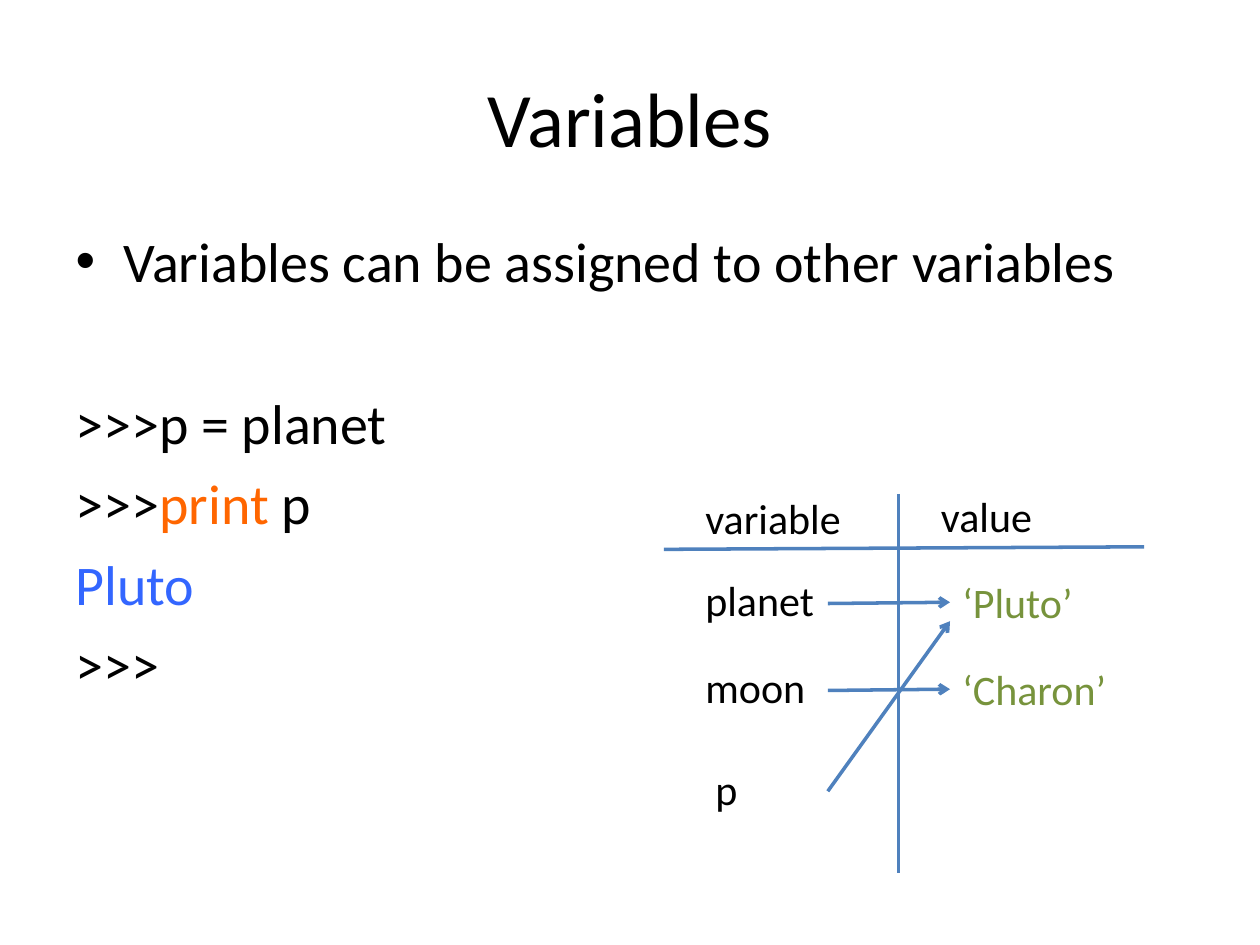
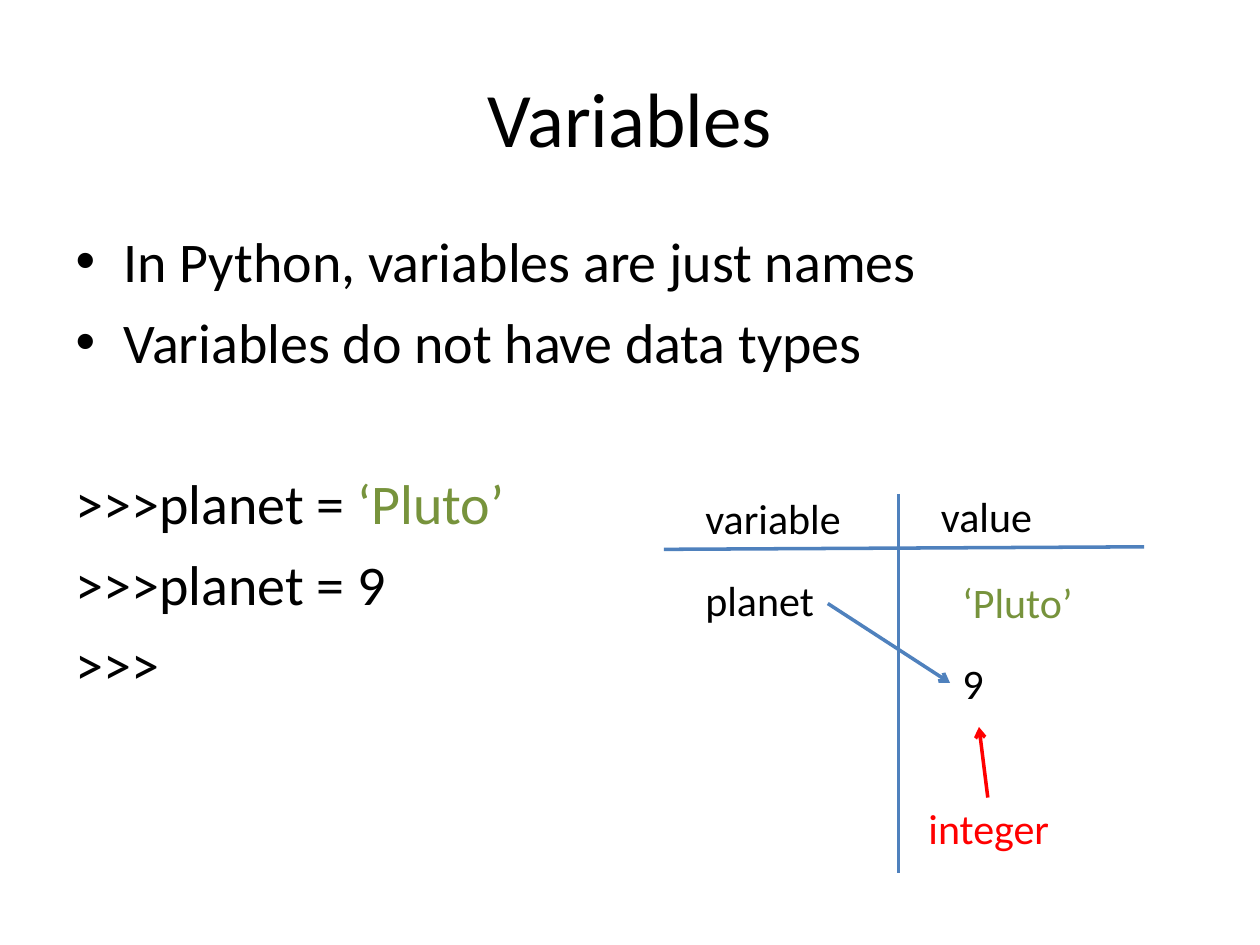
from dataclasses import dataclass
from lxml import etree
from pptx import Presentation
from pptx.dml.color import RGBColor
from pptx.enum.shapes import MSO_CONNECTOR
from pptx.enum.text import MSO_ANCHOR, MSO_AUTO_SIZE, PP_ALIGN
from pptx.oxml.ns import qn
from pptx.util import Inches, Pt


@dataclass(frozen=True)
class Theme:
    """Colours, type sizes and spacing shared by the slides."""
    font: str = "Calibri"
    text: str = "000000"
    keyword: str = "FF6600"
    output: str = "3366FF"
    string: str = "77933C"
    line: str = "4F81BD"
    note: str = "FF0000"
    title_size: float = 44
    body_size: float = 32
    label_size: float = 24
    line_width: float = 2
    gap: float = 7.5
    section_gap: float = 54


T = Theme()
NAME_X, VALUE_X = 5.5, 7.54
ARROW_X = 6.57
ROW_1, ROW_2, ROW_3 = 4.51, 5.2, 6.01


def apply(obj, formats):
    """Set each attribute named in formats on obj."""
    for name, value in formats.items():
        setattr(obj, name, value)


def place(shape, x, y, w, h):
    """Move and size a shape, in inches."""
    sides = zip(("left", "top", "width", "height"), (x, y, w, h))
    apply(shape, {name: Inches(value) for name, value in sides})


def add_run(p, text, size, color=T.text):
    """Add one formatted run to a paragraph."""
    r = p.add_run()
    r.text = text
    apply(r.font, {"name": T.font, "size": Pt(size)})
    r.font.color.rgb = RGBColor.from_string(color)


def add_title(s, text):
    """Fill the title placeholder."""
    sp = s.shapes.title
    place(sp, 0.5, 0.3, 9, 1.25)
    tf = sp.text_frame
    apply(tf, {"vertical_anchor": MSO_ANCHOR.MIDDLE, "auto_size": MSO_AUTO_SIZE.NONE})
    p = tf.paragraphs[0]
    p.alignment = PP_ALIGN.CENTER
    add_run(p, text, T.title_size)


def add_body(s, bullets, code):
    """Fill the body placeholder with bullets, then lines of coloured code."""
    sp = s.placeholders[1]
    place(sp, 0.5, 1.75, 9, 4.95)
    tf = sp.text_frame
    apply(tf, {"word_wrap": True, "auto_size": MSO_AUTO_SIZE.NONE})
    lines = [[(text, T.text)] for text in bullets] + code
    for i, runs in enumerate(lines):
        p = tf.add_paragraph() if i else tf.paragraphs[0]
        pPr = p._p.get_or_add_pPr()
        pPr.set("marL", str(Inches(0.38)))
        pPr.set("indent", str(Inches(-0.38)))
        if i >= len(bullets):
            etree.SubElement(pPr, qn("a:buNone"))
        space = T.section_gap if i == len(bullets) else T.gap
        p.space_before = Pt(space if i else 0)
        for text, color in runs:
            add_run(p, text, T.body_size, color)


def add_label(s, text, x, y, color=T.text):
    """Add a diagram label."""
    tf = s.shapes.add_textbox(*map(Inches, (x, y, 1.46, 0.5))).text_frame
    apply(tf, {"word_wrap": True, "auto_size": MSO_AUTO_SIZE.SHAPE_TO_FIT_TEXT})
    add_run(tf.paragraphs[0], text, T.label_size, color)


def add_line(s, start, end, color=T.line, arrow=False):
    """Draw a straight line, with an open arrowhead at its end if asked."""
    points = map(Inches, (*start, *end))
    cx = s.shapes.add_connector(MSO_CONNECTOR.STRAIGHT, *points)
    cx.line.width = Pt(T.line_width)
    cx.line.color.rgb = RGBColor.from_string(color)
    if arrow:
        etree.SubElement(cx.line._get_or_add_ln(), qn("a:tailEnd"), type="arrow")
    etree.SubElement(cx._element.spPr, qn("a:effectLst"))


def add_variable_chart(s):
    """Draw the rules, headings and first row of the variable diagram."""
    add_line(s, (5.27, 4.36), (9.08, 4.34))
    add_line(s, (7.13, 3.92), (7.13, 6.93))
    add_label(s, "variable", NAME_X, 3.86)
    add_label(s, "value", 7.37, 3.84)
    add_label(s, "planet", NAME_X, ROW_1)
    add_label(s, "‘Pluto’", VALUE_X, ROW_1 + 0.02, T.string)


def add_pointer(s, y1, y2):
    """Draw an arrow from the variable column to the value column."""
    add_line(s, (ARROW_X, y1), (VALUE_X, y2), arrow=True)


def add_variables_slide(prs, bullets, code):
    """Add a slide with title, body and the shared diagram."""
    s = prs.slides.add_slide(prs.slide_layouts[1])
    add_title(s, "Variables")
    add_body(s, bullets, code)
    add_variable_chart(s)
    return s


def add_assignment_slide(prs):
    """Show two variables that point to one value."""
    s = add_variables_slide(
        prs,
        ["Variables can be assigned to other variables"],
        [
            [(">>>p = planet", T.text)],
            [(">>>", T.text), ("print", T.keyword), (" p", T.text)],
            [("Pluto", T.output)],
            [(">>>", T.text)],
        ],
    )
    add_label(s, "moon", NAME_X, ROW_2)
    add_label(s, "‘Charon’", VALUE_X, ROW_2 + 0.02, T.string)
    add_label(s, "p", 5.58, ROW_3)
    for y1, y2 in ((4.79, 4.78), (5.48, 5.47), (6.28, 4.93)):
        add_pointer(s, y1, y2)


def add_types_slide(prs):
    """Show a variable that moves to a value of another type."""
    s = add_variables_slide(
        prs,
        ["In Python, variables are just names", "Variables do not have data types"],
        [
            [(">>>planet = ", T.text), ("‘Pluto’", T.string)],
            [(">>>planet = 9", T.text)],
            [(">>>", T.text)],
        ],
    )
    add_pointer(s, 4.79, 5.42)
    add_label(s, "integer", 7.27, 6.32, T.note)
    add_line(s, (7.84, 6.33), (7.77, 5.77), T.note, arrow=True)
    add_label(s, "9", VALUE_X, 5.17)


def main():
    """Build and save the slides."""
    prs = Presentation()
    apply(prs, {"slide_width": Inches(10), "slide_height": Inches(7.5)})
    add_assignment_slide(prs)
    add_types_slide(prs)
    prs.save("out.pptx")


if __name__ == "__main__":
    main()
